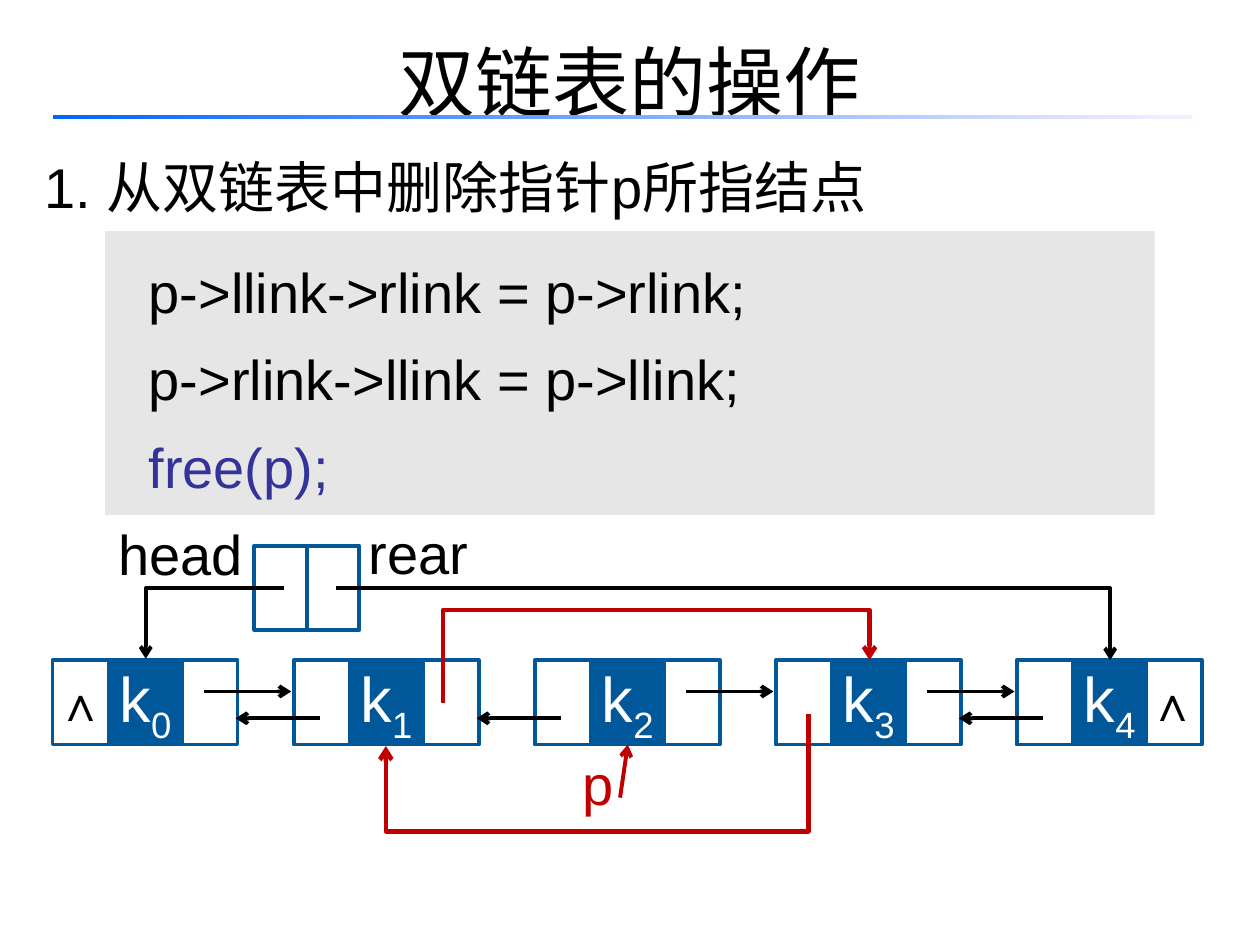
"""Build a slide on deleting a node from a doubly linked list."""
import pptx
import pptx.dml.color
import pptx.enum.shapes
import pptx.enum.text
import pptx.oxml
import pptx.oxml.ns
import pptx.util

Cm = pptx.util.Cm
Pt = pptx.util.Pt
ALIGN = pptx.enum.text.PP_ALIGN
ANCHOR = pptx.enum.text.MSO_ANCHOR
CONNECTOR = pptx.enum.shapes.MSO_CONNECTOR
RECTANGLE = pptx.enum.shapes.MSO_SHAPE.RECTANGLE

BLACK, WHITE, BLUE, RED = "000000", "FFFFFF", "00589A", "C00000"
TITLE = "双链表的操作"
HEADING = "1. 从双链表中删除指针p所指结点"
CODE = [
    ("  p->llink->rlink = p->rlink;", BLACK),
    ("  p->rlink->llink = p->llink;", BLACK),
    ("  free(p);", "333399"),
]
LABELS = [
    ("head", (2.04, 10.39, 3.2, 1.7), BLACK),
    ("rear", (6.84, 10.36, 3.2, 1.7), BLACK),
    ("p", (10.97, 15.03, 2.16, 1.7), RED),
]
NODE_COUNT = 5
NODE_LEFT, NODE_TOP, NODE_PITCH, NODE_HEIGHT = 1.06, 13.31, 4.86, 1.7
LINK_WIDTH, DATA_WIDTH = 1.32, 1.47
DATA_OFFSET, RIGHT_OFFSET = 1.14, 2.41
FORWARD_LINKS, BACKWARD_LINKS = (0, 2, 3), (0, 1, 3)
HEAD_CELLS = (5.13, 6.18)
ELBOWS = [
    ((5.72, 11.86), (2.94, 13.28), BLACK, 2.25, "bentConnector2", ()),
    ((6.78, 11.86), (22.38, 13.31), BLACK, 2.25, "bentConnector2", ()),
    ((8.93, 14.17), (17.53, 13.31), RED, 2.5, "bentConnector4", (0, 217700)),
    ((16.3, 14.4), (7.78, 15.04), RED, 2.5, "bentConnector4", (0, 369000)),
]


def color(value):
    return pptx.dml.color.RGBColor.from_string(value)


def style(paragraph, size, ink, font="Arial", align=ALIGN.LEFT, spacing=None):
    paragraph.alignment = align
    paragraph.line_spacing = spacing
    paragraph.font.name = font
    paragraph.font.size = Pt(size)
    paragraph.font.color.rgb = color(ink)


def hang(para):
    properties = para._p.get_or_add_pPr()
    properties.set("marL", str(Cm(0.95)))
    properties.set("indent", str(-Cm(0.95)))


def add_text(page, bounds, text, size, ink, wrap=False, anchor=ANCHOR.MIDDLE, **look):
    box = page.shapes.add_textbox(*map(Cm, bounds))
    box.text_frame.word_wrap = wrap
    box.text_frame.vertical_anchor = anchor
    para = box.text_frame.paragraphs[0]
    para.add_run().text = text
    style(para, size, ink, **look)
    return para


def add_box(page, bounds, fill=None, line=None):
    box = page.shapes.add_shape(RECTANGLE, *map(Cm, bounds))
    box.shadow.inherit = False
    if fill:
        box.fill.solid()
        box.fill.fore_color.rgb = color(fill)
    else:
        box.fill.background()
    if line:
        box.line.color.rgb = color(line)
        box.line.width = Pt(2.25)
    else:
        box.line.fill.background()
    return box


def add_cell(page, left, top, width, fill=None, text="", ink=BLACK, size=28,
             align=ALIGN.CENTER, subscript=""):
    box = add_box(page, (left, top, width, NODE_HEIGHT), fill, BLUE)
    if text:
        box.text_frame.word_wrap = False
        box.text_frame.vertical_anchor = ANCHOR.MIDDLE
        para = box.text_frame.paragraphs[0]
        para.add_run().text = text
        style(para, size, ink, align=align)
        para.font.bold = not subscript
        if subscript:
            span = para.add_run()
            span.text = subscript
            span._r.get_or_add_rPr().set("baseline", "-25000")
    return box


def add_arrow(page, start, end, ink=BLACK, width=2.25, preset=None, adjustments=()):
    kind = CONNECTOR.ELBOW if preset else CONNECTOR.STRAIGHT
    arrow = page.shapes.add_connector(kind, *map(Cm, start + end))
    arrow.line.color.rgb = color(ink)
    arrow.line.width = Pt(width)
    tail = pptx.oxml.parse_xml(f'<a:tailEnd {pptx.oxml.ns.nsdecls("a")} type="arrow"/>')
    arrow.line._get_or_add_ln().append(tail)
    properties = arrow._element.spPr
    properties.append(pptx.oxml.parse_xml(f'<a:effectLst {pptx.oxml.ns.nsdecls("a")}/>'))
    if preset:
        geometry = properties.find(pptx.oxml.ns.qn("a:prstGeom"))
        geometry.set("prst", preset)
        guides = geometry.find(pptx.oxml.ns.qn("a:avLst"))
        for number, value in enumerate(adjustments, 1):
            guides.append(pptx.oxml.parse_xml(
                f'<a:gd {pptx.oxml.ns.nsdecls("a")} name="adj{number}" fmla="val {value}"/>'))
    return arrow


def add_header(page):
    hang(add_text(page, (0.64, 2.54, 24.76, 1.9), HEADING, 32, BLACK,
                  wrap=True, anchor=ANCHOR.TOP, spacing=1.3))
    add_text(page, (1.27, -0.2, 22.86, 3.18), TITLE, 44, BLACK, wrap=True,
             font="Noto Sans CJK SC", align=ALIGN.CENTER, spacing=1.25)
    rule = add_box(page, (1.06, 2.31, 22.98, 0.1))
    rule.fill.gradient()
    rule.fill.gradient_angle = 0
    for stop, position, ink in zip(rule.fill.gradient_stops, (0, 1), ("0066FF", "F7EFFF")):
        stop.position = position
        stop.color.rgb = color(ink)


def add_code(page):
    frame = add_box(page, (2.12, 4.66, 21.16, 5.72), "E6E6E6").text_frame
    frame.word_wrap = True
    frame.vertical_anchor = ANCHOR.TOP
    for index, (line, ink) in enumerate(CODE):
        para = frame.add_paragraph() if index else frame.paragraphs[0]
        para.add_run().text = line
        hang(para)
        style(para, 32, ink, spacing=1.3)


def add_list(page):
    data_cells = []
    for index in range(NODE_COUNT):
        left = NODE_LEFT + index * NODE_PITCH
        first, last = index == 0, index == NODE_COUNT - 1
        add_cell(page, left + RIGHT_OFFSET, NODE_TOP, LINK_WIDTH,
                 text="∧" if last else "", align=ALIGN.LEFT)
        data_cells.append(add_cell(page, left + DATA_OFFSET, NODE_TOP, DATA_WIDTH, BLUE,
                                   "k", WHITE, 36, subscript=str(index)))
        add_cell(page, left, NODE_TOP, LINK_WIDTH,
                 text="∧" if first else "", align=ALIGN.RIGHT)
    for links, start, end, y in ((FORWARD_LINKS, 4.11, 5.87, 13.94),
                                 (BACKWARD_LINKS, 6.45, 4.75, 14.48)):
        for index in links:
            shift = index * NODE_PITCH
            add_arrow(page, (start + shift, y), (end + shift, y))
    for left in HEAD_CELLS:
        add_cell(page, left, 11, 1.06)
    for label, bounds, ink in LABELS:
        add_text(page, bounds, label, 32, ink, align=ALIGN.CENTER, spacing=0.9)
    for elbow in ELBOWS:
        add_arrow(page, *elbow)
    pointer = add_arrow(page, (12.5, 16.08), (12.65, 15.01), RED)
    pointer.end_connect(data_cells[2], 2)


def main():
    deck = pptx.Presentation()
    deck.slide_width, deck.slide_height = Cm(25.4), Cm(19.05)
    page = deck.slides.add_slide(deck.slide_layouts[6])
    add_header(page)
    add_code(page)
    add_list(page)
    deck.save("out.pptx")


if __name__ == "__main__":
    main()
